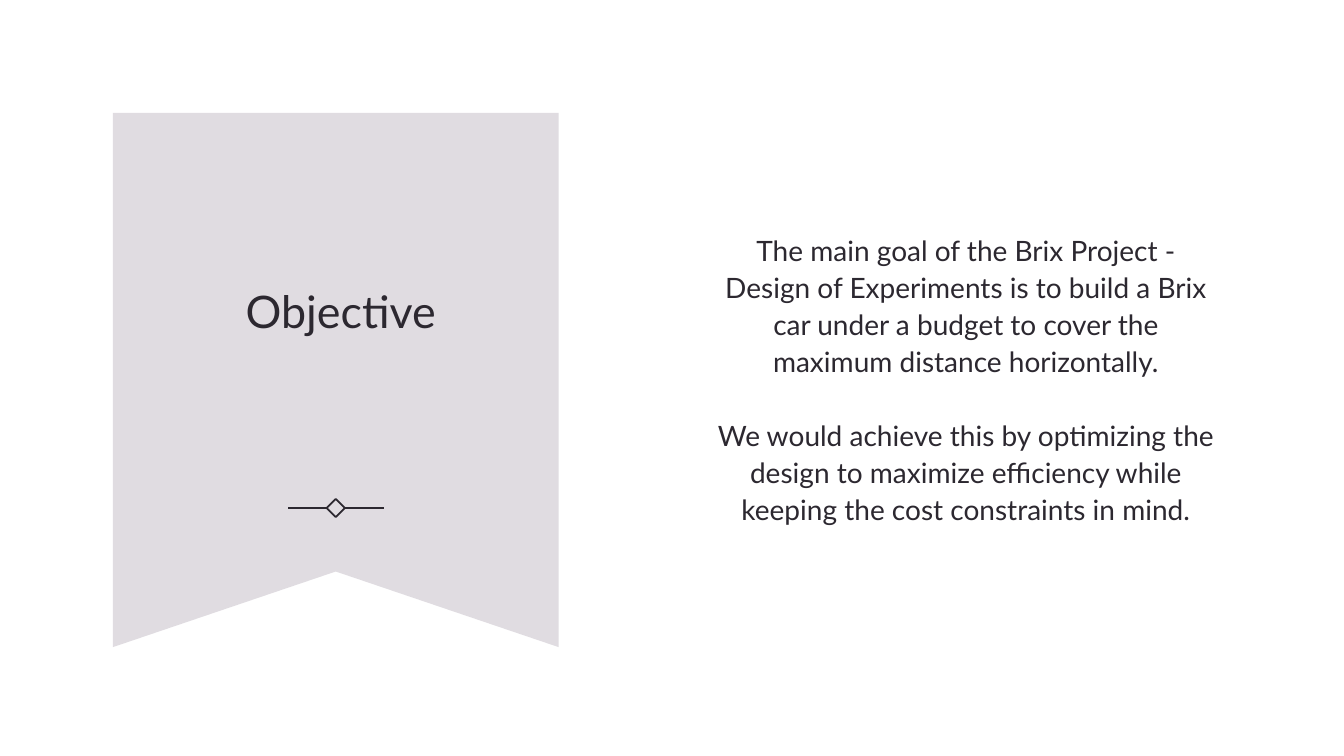
from pptx import Presentation
from pptx.dml.color import RGBColor
from pptx.enum.shapes import MSO_CONNECTOR, MSO_SHAPE
from pptx.enum.text import MSO_ANCHOR, MSO_AUTO_SIZE, PP_ALIGN
from pptx.oxml.ns import qn
from pptx.util import Inches, Pt
from lxml.etree import SubElement

INK = RGBColor(0x2C, 0x28, 0x30)
MAUVE = RGBColor(0xE0, 0xDC, 0xE1)

GOAL = [
    "The main goal of the Brix Project - Design of Experiments is to build "
    "a Brix car under a budget to cover the maximum distance horizontally.",
    "We would achieve this by optimizing the design to maximize efficiency "
    "while keeping the cost constraints in mind.",
]


def write(shape, texts, size, gap=0):
    """Fill a shape with centred paragraphs, gap points apart."""
    frame = shape.text_frame
    frame.word_wrap = True
    frame.auto_size = MSO_AUTO_SIZE.NONE
    frame.vertical_anchor = MSO_ANCHOR.MIDDLE
    for i, text in enumerate(texts):
        para = frame.paragraphs[0] if i == 0 else frame.add_paragraph()
        para.text = text
        para.alignment = PP_ALIGN.CENTER
        para.line_spacing = 1.1
        para.space_before = Pt(gap if i else 0)
        para.font.name = "Lato"
        para.font.size = Pt(size)
        para.font.color.rgb = INK


def add_ribbon(slide, left, top, width, height):
    notch = top + height - Inches(0.75)
    right, base = left + width, top + height
    pen = slide.shapes.build_freeform(left, top)
    pen.add_line_segments(
        [(right, top), (right, base), (left + width // 2, notch), (left, base)]
    )
    ribbon = pen.convert_to_shape()
    ribbon.shadow.inherit = False
    ribbon.fill.solid()
    ribbon.fill.fore_color.rgb = MAUVE
    ribbon.line.fill.background()


def add_rule(slide, mid, y, width):
    """Draw a line centred on mid, broken by a hollow diamond."""
    half = Inches(0.09)
    gem = slide.shapes.add_shape(
        MSO_SHAPE.DIAMOND, mid - half, y - half, 2 * half, 2 * half
    )
    gem.shadow.inherit = False
    gem.fill.background()
    parts = [gem]
    for side in (-1, 1):
        line = slide.shapes.add_connector(
            MSO_CONNECTOR.STRAIGHT, mid + side * half, y, mid + side * width // 2, y
        )
        SubElement(line._element.spPr, qn("a:effectLst"))
        parts.append(line)
    for part in parts:
        part.line.color.rgb = INK
        part.line.width = Pt(1.25)


def add_panel(slide, left, top, width, height):
    """Place the ribbon with its rule and the slide title on it."""
    add_ribbon(slide, left, top, width, height)
    add_rule(slide, left + width // 2, top + Inches(3.92), Inches(0.95))
    title = slide.shapes.title
    title.left, title.top = left + Inches(0.42), top + Inches(0.36)
    title.width, title.height = Inches(3.68), Inches(3.14)
    write(title, ["Objective"], 32)
    slide.shapes._spTree.append(title._element)  # bring in front of the ribbon


def add_goal(slide, left, top, width, height):
    box = slide.shapes.add_textbox(left, top, width, height)
    write(box, GOAL, 20, gap=26.4)


def main():
    prs = Presentation()
    prs.slide_width, prs.slide_height = Inches(13.33), Inches(7.5)
    slide = prs.slides.add_slide(prs.slide_layouts[5])
    add_panel(slide, Inches(1.12), Inches(1.12), Inches(4.42), Inches(5.3))
    add_goal(slide, Inches(6.99), Inches(0.79), Inches(5.18), Inches(5.92))
    prs.save("out.pptx")


if __name__ == "__main__":
    main()
